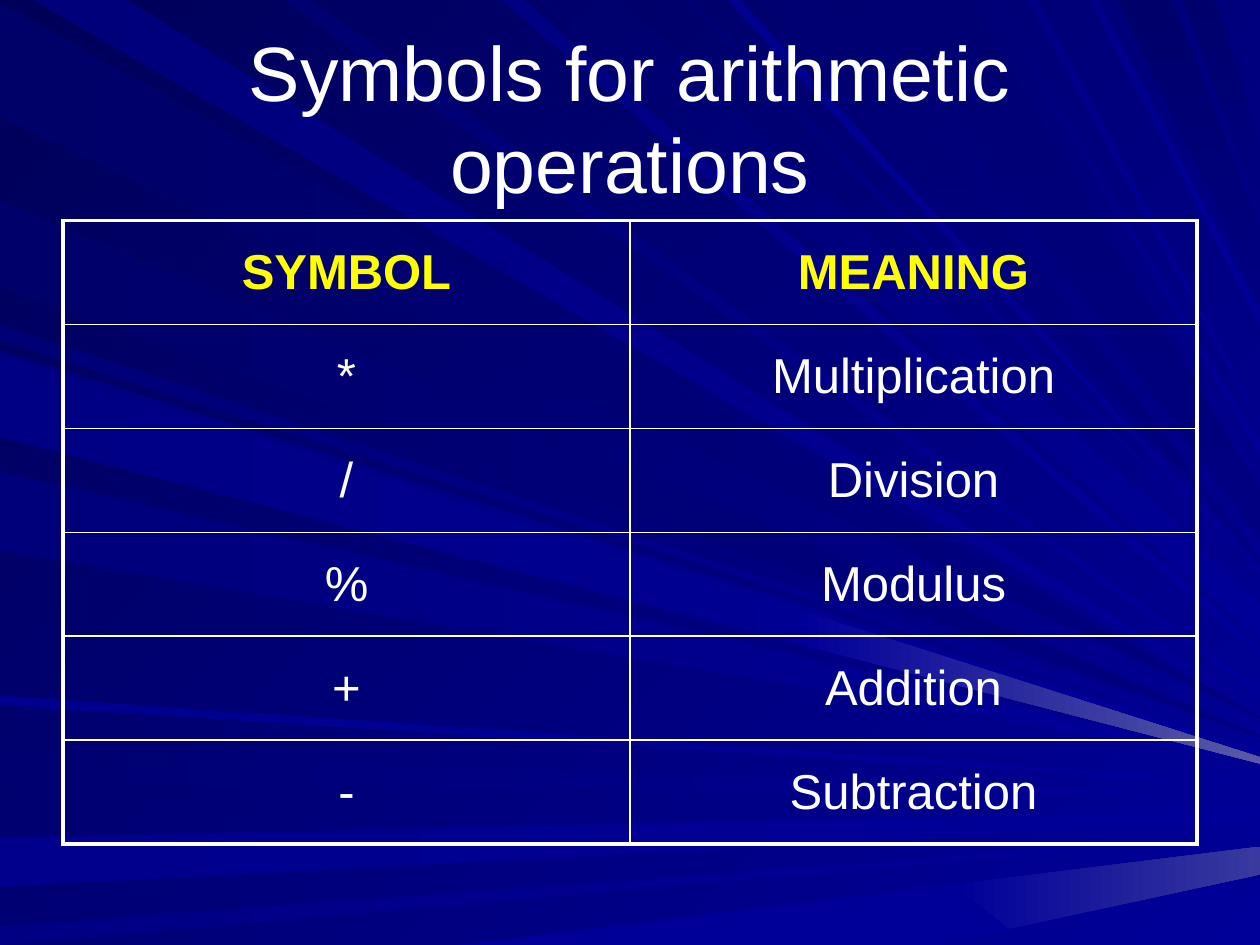
from lxml import etree
from pptx import Presentation
from pptx import util as u
from pptx.dml.color import RGBColor
from pptx.enum import text
from pptx.oxml.ns import qn

PX = 9144  # 100 px to the inch
WIDE, HIGH = 1000, 750


class Theme:
    font = "Arial"
    ink, head = "FFFFFF", "FFFF00"
    dark, light, mid = "000058", "000099", "000080"
    haze, glow = "39399E", "5A5AA6"
    title, cell = 44, 28
    thick, thin = 2.25, 1


TITLE = "Symbols for arithmetic operations"
ROWS = [
    ("SYMBOL", "MEANING"),
    ("*", "Multiplication"),
    ("/", "Division"),
    ("%", "Modulus"),
    ("+", "Addition"),
    ("-", "Subtraction"),
]

# Rays run from a span on one edge to a tip on the right edge:
# edge, first colour, last colour, span start, span end, tip, tip height
RAYS = [
    ("left", "000069", Theme.mid, 2, 93, 569, 1),
    ("top", "00007B", Theme.light, 26, 101, 562, 1),
    ("left", "000071", Theme.light, 596, 623, 631, 1),
    ("left", "00008C", Theme.light, 665, 704, 643, 8),
    ("left", "000085", Theme.light, 735, 750, 662, 0),
    ("left", "000076", Theme.light, 258, 270, 589, 0),
    ("left", "00006B", Theme.mid, 159, 228, 584, 1),
    ("top", "000083", Theme.light, 398, 416, 515, 6),
    ("top", "00006D", Theme.light, 426, 492, 479, 28),
    ("top", "000073", Theme.light, 540, 552, 463, 0),
    ("top", "000073", Theme.mid, 606, 661, 445, 1),
    ("top", "00006B", Theme.mid, 887, 930, 183, 54),
    ("top", "00006D", Theme.mid, 939, 964, 114, 53),
    ("left", "00007E", Theme.light, 278, 342, 596, 6),
    ("left", "00007B", Theme.light, 374, 437, 605, 1),
    ("left", "00008E", Theme.light, 552, 560, 621, 2),
    ("top", "000070", Theme.light, 225, 247, 547, 5),
    ("top", "00008E", Theme.light, 577, 588, 453, 1),
    ("top", "000073", Theme.mid, 686, 770, 390, 38),
    ("top", "000078", Theme.light, 785, 792, 354, 6),
    ("top", "000085", Theme.light, 815, 824, 335, 1),
    ("top", "00008A", Theme.light, 865, 872, 249, 9),
    ("left", "000085", Theme.light, 283, 347, 601, 5),
]
# Bright ends near the right edge: first colour, last colour, corners
GLEAMS = [
    (Theme.light, Theme.light, [(364, 750), (756, 702), (801, 737), (742, 750)]),
    (Theme.light, Theme.haze, [(756, 702), (1000, 672), (1000, 694), (801, 737)]),
    (Theme.light, Theme.glow, [(637, 485), (1000, 601), (1000, 606), (633, 511)]),
]


def rgb(code):
    return RGBColor.from_string(code)


def paint(fill, first, last, angle):
    """Fill with one colour, or with a gradient when the two differ."""
    if first == last:
        fill.solid()
        fill.fore_color.rgb = rgb(first)
        return
    fill.gradient()
    fill.gradient_angle = -angle % 360  # pptx counts anticlockwise
    for stop, code in zip(fill.gradient_stops, (first, last)):
        stop.color.rgb = rgb(code)


def write(frame, words, size, color, bold=False):
    frame.text = words
    frame.vertical_anchor = text.MSO_ANCHOR.MIDDLE
    line = frame.paragraphs[0]
    line.alignment = text.PP_ALIGN.CENTER
    font = line.runs[0].font
    font.name, font.size, font.bold = Theme.font, u.Pt(size), bold
    font.color.rgb = rgb(color)


def edge(cell, side, width):
    props = cell._tc.get_or_add_tcPr()
    line = etree.SubElement(props, qn(f"a:ln{side}"), w=str(u.Pt(width)))
    fill = etree.SubElement(line, qn("a:solidFill"))
    etree.SubElement(fill, qn("a:srgbClr"), val=Theme.ink)


def add_ray(group, first, last, points, angle=0):
    path = group.shapes.build_freeform(*points[0], scale=PX)
    path.add_line_segments(points[1:], close=True)
    ray = path.convert_to_shape()
    ray.shadow.inherit = False
    ray.line.fill.background()
    paint(ray.fill, first, last, angle)


def add_rays(slide):
    group = slide.shapes.add_group_shape()
    for side, first, last, start, end, tip, depth in RAYS:
        upper, lower = (WIDE, tip), (WIDE, tip + depth)
        if side == "left":
            points, angle = [(0, start), upper, lower, (0, end)], 0
        else:
            points = [(start, 0), (end, 0), upper, lower]
            angle = 90 if last == Theme.mid else 45
        add_ray(group, first, last, points, angle)
    for gleam in GLEAMS:
        add_ray(group, *gleam)


def add_title(slide):
    title = slide.shapes.title
    slide.shapes._spTree.append(title._element)  # in front of the rays
    title.left, title.top, title.width, title.height = (
        n * PX for n in (50, 30, 900, 125))
    write(title.text_frame, TITLE, Theme.title, Theme.ink)
    title.text_frame.auto_size = text.MSO_AUTO_SIZE.NONE


def add_grid(slide):
    rows, cols = len(ROWS), len(ROWS[0])
    box = (n * PX for n in (50, 175, 900, 495))
    grid = slide.shapes.add_table(rows, cols, *box).table
    grid.first_row = grid.horz_banding = False
    for r, row in enumerate(ROWS):
        for c, words in enumerate(row):
            cell = grid.cell(r, c)
            outer = {"L": c == 0, "R": c == cols - 1,
                     "T": r == 0, "B": r == rows - 1}
            for side, out in outer.items():
                edge(cell, side, Theme.thick if out else Theme.thin)
            cell.fill.background()
            color = Theme.ink if r else Theme.head
            write(cell.text_frame, words, Theme.cell, color, bold=r == 0)
            cell.vertical_anchor = text.MSO_ANCHOR.MIDDLE


def main():
    deck = Presentation()
    deck.slide_width, deck.slide_height = WIDE * PX, HIGH * PX
    slide = deck.slides.add_slide(deck.slide_layouts[5])
    paint(slide.background.fill, Theme.dark, Theme.light, 45)
    add_rays(slide)
    add_title(slide)
    add_grid(slide)
    deck.save("out.pptx")


if __name__ == "__main__":
    main()
